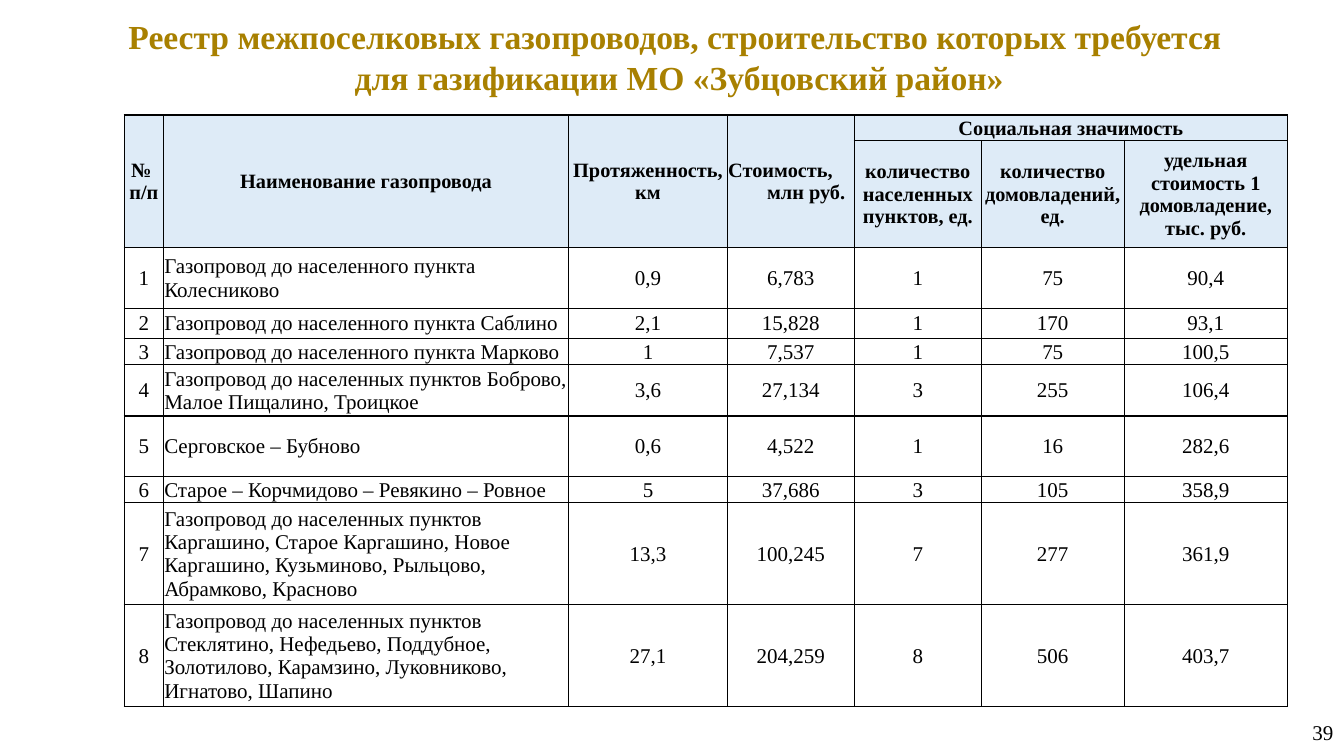
from dataclasses import dataclass

from lxml import etree
from pptx import Presentation
from pptx.dml.color import RGBColor
from pptx.enum import text
from pptx.oxml import ns
from pptx.util import Cm, Pt


@dataclass(frozen=True)
class Theme:
    font: str = "Times New Roman"
    gold: str = "A88000"
    black: str = "000000"
    header_fill: str = "DEEBF7"
    title_size: float = 24
    header_size: float = 14.5
    body_size: float = 15
    border_width: float = 1


THEME = Theme()
CENTER, LEFT, RIGHT = text.PP_ALIGN.CENTER, text.PP_ALIGN.LEFT, text.PP_ALIGN.RIGHT

TITLE = [
    "Реестр межпоселковых газопроводов, строительство которых требуется ",
    "для газификации МО «Зубцовский район»",
]
# Headings that span both header rows
TALL_HEADINGS = [
    ["№ \vп/п"],
    ["Наименование газопровода"],
    ["Протяженность, км"],
    ["Стоимость,", "млн руб."],
]
GROUP_HEADING = ["Социальная значимость"]
SOCIAL_HEADINGS = [
    ["количество населенных пунктов, ед."],
    ["количество", "домовладений, ед."],
    ["удельная стоимость 1 домовладение, тыс. руб."],
]
PIPELINES = [
    ("Газопровод до населенного пункта Колесниково", "0,9", "6,783", "1", "75", "90,4"),
    ("Газопровод до населенного пункта Саблино", "2,1", "15,828", "1", "170", "93,1"),
    ("Газопровод до населенного пункта Марково", "1", "7,537", "1", "75", "100,5"),
    ("Газопровод до населенных пунктов Боброво, Малое Пищалино, Троицкое",
     "3,6", "27,134", "3", "255", "106,4"),
    ("Серговское – Бубново", "0,6", "4,522", "1", "16", "282,6"),
    ("Старое – Корчмидово – Ревякино – Ровное", "5", "37,686", "3", "105", "358,9"),
    ("Газопровод до населенных пунктов Каргашино, Старое Каргашино, Новое Каргашино, "
     "Кузьминово, Рыльцово, Абрамково, Красново", "13,3", "100,245", "7", "277", "361,9"),
    ("Газопровод до населенных пунктов Стеклятино, Нефедьево, Поддубное, Золотилово, "
     "Карамзино, Луковниково, Игнатово, Шапино", "27,1", "204,259", "8", "506", "403,7"),
]
COLUMN_WIDTHS = [0.99, 10.21, 4, 3.2, 3.2, 3.6, 4.11]
ROW_HEIGHTS = [0.64, 2.7, 1.53, 0.76, 0.66, 1.29, 1.53, 0.66, 2.57, 2.57]
COST_COLUMN = 3
COST_UNIT_INDENT = 0.98


def write(frame, lines, size=THEME.body_size, color=THEME.black, bold=False, align=CENTER):
    """Fill a text frame with one formatted paragraph per line."""
    frame.word_wrap = True
    for index, line in enumerate(lines):
        paragraph = frame.paragraphs[0] if index == 0 else frame.add_paragraph()
        paragraph.text = line
        paragraph.alignment = align
        for run in paragraph.runs:
            run.font.name = THEME.font
            run.font.size = Pt(size)
            run.font.bold = bold
            run.font.color.rgb = RGBColor.from_string(color)


def add_borders(cell):
    properties = cell._tc.get_or_add_tcPr()
    for side in ("lnL", "lnR", "lnT", "lnB"):
        line = etree.SubElement(properties, ns.qn(f"a:{side}"), w=str(Pt(THEME.border_width)))
        fill = etree.SubElement(line, ns.qn("a:solidFill"))
        etree.SubElement(fill, ns.qn("a:srgbClr"), val=THEME.black)


def add_title(slide, left, top, width, height):
    title = slide.shapes.title
    title.left, title.top, title.width, title.height = left, top, width, height
    frame = title.text_frame
    frame.auto_size = text.MSO_AUTO_SIZE.NONE
    frame.vertical_anchor = text.MSO_ANCHOR.TOP
    write(frame, TITLE, size=THEME.title_size, color=THEME.gold, bold=True)


def add_pipeline_table(slide, left, top, width, height):
    shape = slide.shapes.add_table(len(ROW_HEIGHTS), len(COLUMN_WIDTHS), left, top, width, height)
    table = shape.table
    table.first_row = table.horz_banding = False

    # Column and row sizes share out the box
    for column, share in zip(table.columns, COLUMN_WIDTHS):
        column.width = int(width * share / sum(COLUMN_WIDTHS))
    for row, share in zip(table.rows, ROW_HEIGHTS):
        row.height = int(height * share / sum(ROW_HEIGHTS))

    # Cell frames and fills
    for row_index, row in enumerate(table.rows):
        for cell in row.cells:
            cell.margin_left = cell.margin_right = cell.margin_top = Cm(0.02)
            cell.margin_bottom = 0
            cell.vertical_anchor = text.MSO_ANCHOR.MIDDLE
            add_borders(cell)
            if row_index < 2:
                cell.fill.solid()
                cell.fill.fore_color.rgb = RGBColor.from_string(THEME.header_fill)
            else:
                cell.fill.background()

    # Two-level header
    first_social = len(TALL_HEADINGS)
    headings = {(0, column): lines for column, lines in enumerate(TALL_HEADINGS)}
    headings[0, first_social] = GROUP_HEADING
    headings.update({(1, first_social + i): lines for i, lines in enumerate(SOCIAL_HEADINGS)})
    for column in range(first_social):
        table.cell(0, column).merge(table.cell(1, column))
    table.cell(0, first_social).merge(table.cell(0, len(COLUMN_WIDTHS) - 1))
    for (row, column), lines in headings.items():
        write(table.cell(row, column).text_frame, lines, size=THEME.header_size, bold=True,
              align=LEFT if column == COST_COLUMN else CENTER)
    cost_unit = table.cell(0, COST_COLUMN).text_frame.paragraphs[1]
    cost_unit._p.get_or_add_pPr().set("marL", str(Cm(COST_UNIT_INDENT)))

    # Numbered pipelines
    for number, pipeline in enumerate(PIPELINES, start=1):
        for column, value in enumerate((str(number), *pipeline)):
            write(table.cell(number + 1, column).text_frame, [value],
                  align=LEFT if column == 1 else CENTER)


def add_page_number(slide, left, top, width, height):
    frame = slide.shapes.add_textbox(left, top, width, height).text_frame
    frame.vertical_anchor = text.MSO_ANCHOR.MIDDLE
    write(frame, ["39"], align=RIGHT)


def main():
    presentation = Presentation()
    presentation.slide_width, presentation.slide_height = Cm(33.87), Cm(19.05)
    slide = presentation.slides.add_slide(presentation.slide_layouts.get_by_name("Title Only"))
    add_page_number(slide, Cm(26.97), Cm(17.68), Cm(6.88), Cm(1.55))
    add_title(slide, Cm(2.18), Cm(0.28), Cm(29.87), Cm(2.31))
    add_pipeline_table(slide, Cm(3.13), Cm(2.9), Cm(29.31), Cm(14.91))
    presentation.save("out.pptx")


if __name__ == "__main__":
    main()
